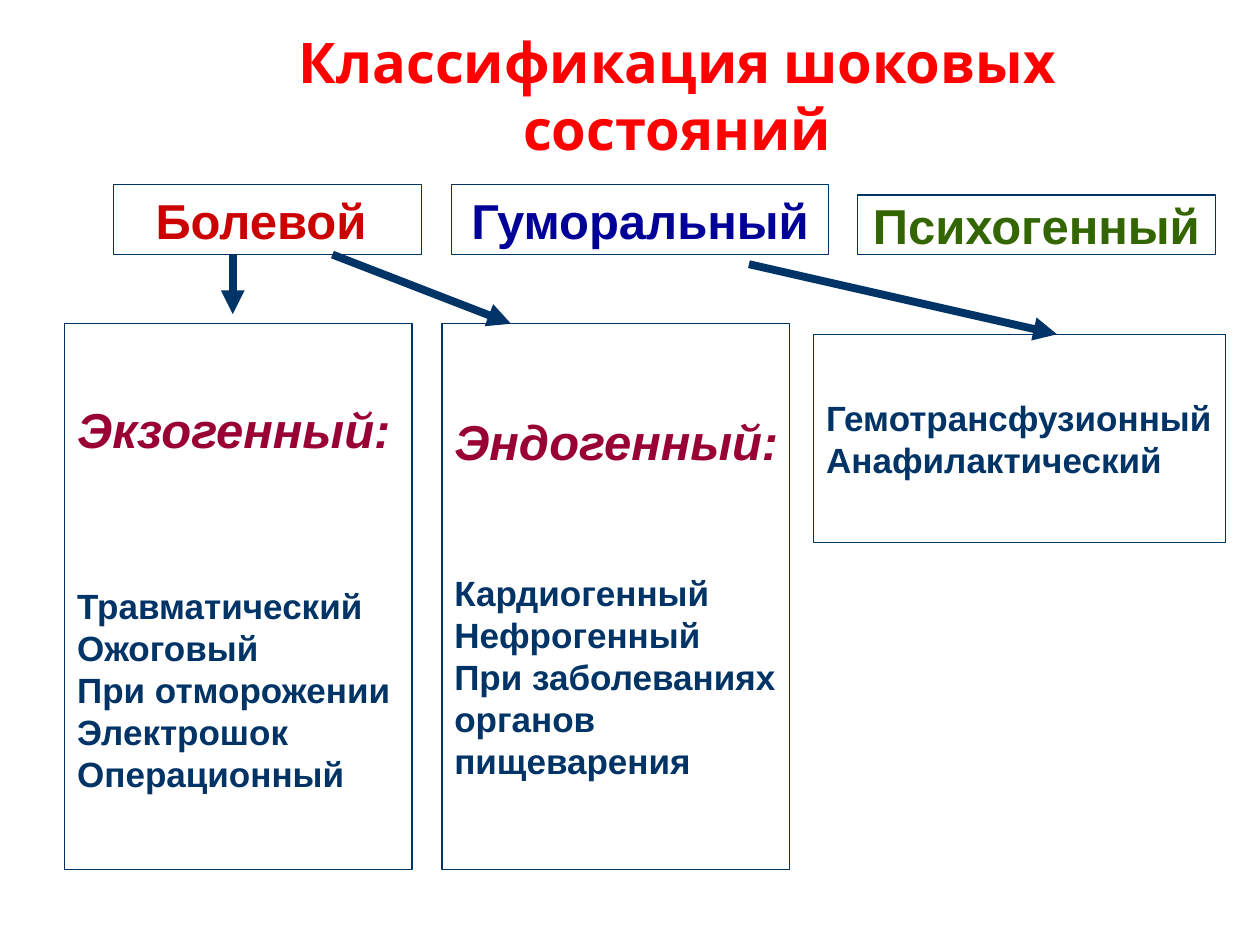
from dataclasses import dataclass

from lxml import etree
from pptx import Presentation
from pptx.dml.color import RGBColor
from pptx.enum import shapes, text
from pptx.oxml import ns
from pptx.util import Pt


@dataclass(frozen=True)
class Theme:
    font: str = "Arial"
    display: str = "Cabin"
    navy: str = "003366"
    white: str = "FFFFFF"
    title: str = "FF0000"
    pain: str = "CC0000"
    humoral: str = "000099"
    psychic: str = "336600"
    wine: str = "990033"
    big: int = 32
    head: int = 28
    body: int = 20
    edge: float = 0.75
    arrow: float = 4.5


T = Theme()


def style(para, size, color, font=T.font, italic=False):
    for run in para.runs:
        run.font.name = font
        run.font.size = Pt(size)
        run.font.bold = True
        run.font.italic = italic
        run.font.color.rgb = RGBColor.from_string(color)


def add_title(slide, box, words):
    frame = slide.shapes.add_textbox(*map(Pt, box)).text_frame
    frame.word_wrap = True
    frame.vertical_anchor = text.MSO_ANCHOR.MIDDLE
    frame.text = words
    para = frame.paragraphs[0]
    para.alignment = text.PP_ALIGN.CENTER
    style(para, T.big, T.title, T.display)


def add_frame(slide, box, words):
    """Draw a white outlined box and return its text frame."""
    rect = slide.shapes.add_shape(shapes.MSO_SHAPE.RECTANGLE, *map(Pt, box))
    rect.shadow.inherit = False
    rect.fill.solid()
    rect.fill.fore_color.rgb = RGBColor.from_string(T.white)
    rect.line.color.rgb = RGBColor.from_string(T.navy)
    rect.line.width = Pt(T.edge)
    frame = rect.text_frame
    frame.word_wrap = False
    frame.vertical_anchor = text.MSO_ANCHOR.MIDDLE
    frame.text = words
    return frame


def add_head(slide, box, words, color):
    para = add_frame(slide, box, words).paragraphs[0]
    para.alignment = text.PP_ALIGN.CENTER
    style(para, T.head, color)


def add_panel(slide, box, items, head=None, gap=0):
    """List items in a box, under an italic heading if there is one."""
    lines = [head, *items] if head else items
    paras = add_frame(slide, box, "\n".join(lines)).paragraphs
    for para in paras:
        para.alignment = text.PP_ALIGN.LEFT
        style(para, T.body, T.navy)
    if head:
        style(paras[0], T.head, T.wine, italic=True)
        paras[0].space_after = Pt(gap)


def add_arrow(slide, start, end):
    line = slide.shapes.add_connector(
        shapes.MSO_CONNECTOR.STRAIGHT, *map(Pt, (*start, *end)))
    line.line.color.rgb = RGBColor.from_string(T.navy)
    line.line.width = Pt(T.arrow)
    tail = etree.SubElement(line.line._get_or_add_ln(), ns.qn("a:tailEnd"))
    tail.set("type", "triangle")
    etree.SubElement(line._element.spPr, ns.qn("a:effectLst"))


def main():
    deck = Presentation()
    deck.slide_width, deck.slide_height = Pt(720), Pt(540)
    slide = deck.slides.add_slide(deck.slide_layouts[6])

    add_title(slide, (96, 12, 582, 84), "Классификация шоковых состояний")
    add_head(slide, (65, 105.6, 176, 40), "Болевой ", T.pain)
    add_head(slide, (258, 105.6, 215.5, 40), "Гуморальный", T.humoral)
    add_head(slide, (490, 111.5, 204.5, 34), "Психогенный", T.psychic)

    add_panel(slide, (37, 185, 198.5, 312),
              ["Травматический", "Ожоговый", "При отморожении",
               "Электрошок", "Операционный"], "Экзогенный:", 72)
    add_panel(slide, (252.5, 185, 198.5, 312),
              ["Кардиогенный", "Нефрогенный", "При заболеваниях",
               "органов", "пищеварения"], "Эндогенный:", 58)
    add_panel(slide, (465, 191, 235.5, 119),
              ["Гемотрансфузионный", "Анафилактический"])

    add_arrow(slide, (133, 145.5), (133, 179.5))
    add_arrow(slide, (190, 145.5), (292, 185))
    add_arrow(slide, (428, 151), (604, 191))
    deck.save("out.pptx")


if __name__ == "__main__":
    main()
